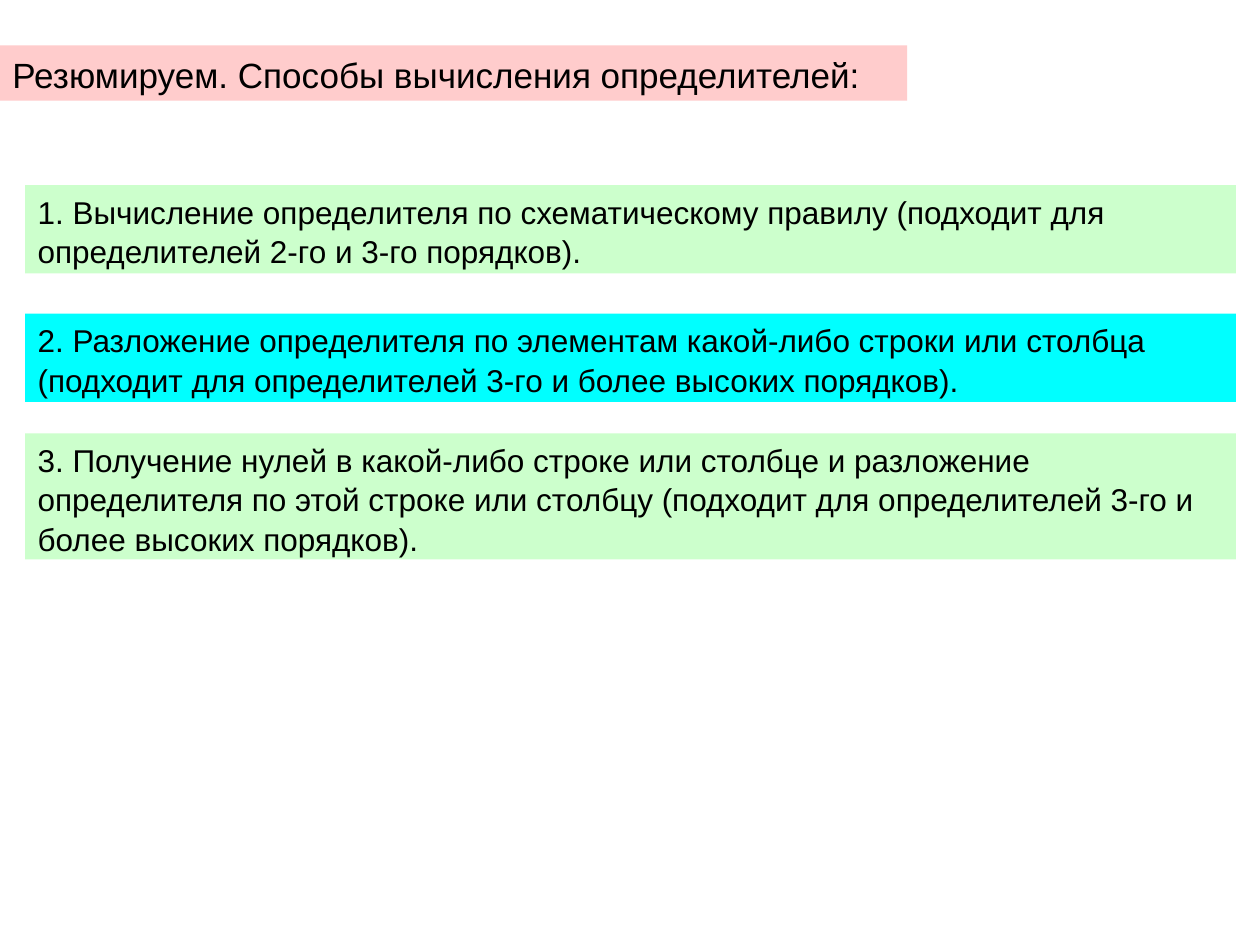
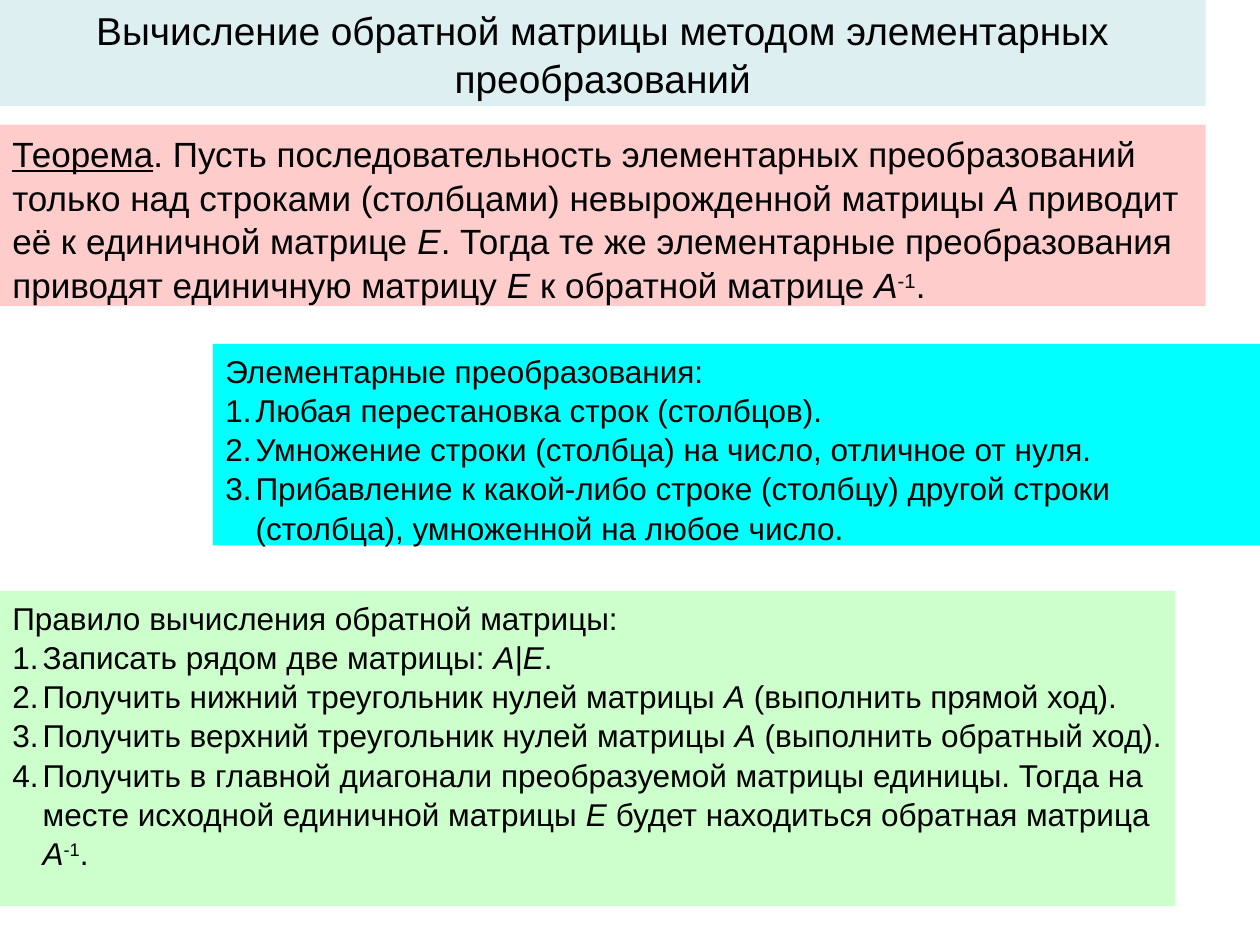
from lxml import etree
from pptx import Presentation
from pptx.dml.color import RGBColor
from pptx.enum.shapes import MSO_SHAPE
from pptx.enum.text import MSO_ANCHOR, PP_ALIGN
from pptx.oxml.ns import qn
from pptx.util import Inches, Pt

RECTANGLE = MSO_SHAPE.RECTANGLE
TOP, MIDDLE = MSO_ANCHOR.TOP, MSO_ANCHOR.MIDDLE
LEFT, CENTER = PP_ALIGN.LEFT, PP_ALIGN.CENTER

# Shared look
FONT = "Arial"
BLACK, PINK, GREEN, CYAN, PALE_BLUE = "000000", "FFCCCC", "CCFFCC", "00FFFF", "BBE0E3"
TITLE_SIZE, LEAD_SIZE, BODY_SIZE = 22.2, 20, 18
LINE_SPACING = 1.04
NUMBER_INDENT = 0.24

# Run formats
ITALIC = {"italic": True}
UNDERLINE = {"underline": True}
SUPERSCRIPT = {"baseline": "30000"}

# Slide 1: text, top, height, fill
SUMMARY_TITLE = "Резюмируем. Способы вычисления определителей:"
METHODS = [
    ("1. Вычисление определителя по схематическому правилу (подходит для "
     "определителей 2-го и 3-го порядков).", 1.47, 0.7, GREEN),
    ("2. Разложение определителя по элементам какой-либо строки или столбца "
     "(подходит для определителей 3-го и более высоких порядков).", 2.49, 0.7, CYAN),
    ("3. Получение нулей в какой-либо строке или столбце и разложение определителя "
     "по этой строке или столбцу (подходит для определителей 3-го и более высоких "
     "порядков).", 3.44, 1.0, GREEN),
]

# Slide 2: a paragraph is a string or a list of strings and (text, format) pairs
INVERSE_TITLE = "Вычисление обратной матрицы методом элементарных преобразований"
THEOREM = [
    ("Теорема", UNDERLINE),
    ". Пусть последовательность элементарных преобразований только над строками "
    "(столбцами) невырожденной матрицы ",
    ("A ", ITALIC), "приводит её к единичной матрице ", ("E", ITALIC),
    ". Тогда те же элементарные преобразования приводят единичную матрицу ",
    ("E", ITALIC), " к обратной матрице ", ("A", ITALIC), ("-1", SUPERSCRIPT), ".",
]
RULE_HEADING = "Правило вычисления обратной матрицы:"
RULE_STEPS = [
    ["Записать рядом две матрицы: ", ("A", ITALIC), "|", ("E", ITALIC), "."],
    ["Получить нижний треугольник нулей матрицы ", ("А", ITALIC),
     " (выполнить прямой ход)."],
    ["Получить верхний треугольник нулей матрицы ", ("А", ITALIC),
     " (выполнить обратный ход)."],
    ["Получить в главной диагонали преобразуемой матрицы единицы. Тогда на месте "
     "исходной единичной матрицы ", ("Е", ITALIC),
     " будет находиться обратная матрица ", ("А", ITALIC), ("-1", SUPERSCRIPT), "."],
]
TRANSFORMS_HEADING = "Элементарные преобразования:"
TRANSFORMS = [
    "Любая перестановка строк (столбцов).",
    "Умножение строки (столбца) на число, отличное от нуля.",
    "Прибавление к какой-либо строке (столбцу) другой строки (столбца), "
    "умноженной на любое число.",
]


def color(hex_value):
    return RGBColor.from_string(hex_value)


def number_paragraph(paragraph):
    """Give the paragraph an automatic number and a hanging indent."""
    properties = paragraph._p.get_or_add_pPr()
    indent = Inches(NUMBER_INDENT)
    properties.set("marL", str(indent))
    properties.set("indent", str(-indent))
    bullet_color = etree.SubElement(properties, qn("a:buClr"))
    etree.SubElement(bullet_color, qn("a:srgbClr"), val=BLACK)
    etree.SubElement(properties, qn("a:buAutoNum"), type="arabicPeriod")


def write_paragraph(paragraph, content, size, align):
    paragraph.alignment = align
    paragraph.line_spacing = LINE_SPACING
    for piece in [content] if isinstance(content, str) else content:
        text, style = (piece, {}) if isinstance(piece, str) else piece
        run = paragraph.add_run()
        run.text = text
        run.font.color.rgb = color(BLACK)
        for name, value in {"name": FONT, "size": Pt(size), **style}.items():
            if name == "baseline":
                run._r.get_or_add_rPr().set(name, value)
            else:
                setattr(run.font, name, value)


def add_band(slide, box, fill, content, steps=(), size=BODY_SIZE,
             align=LEFT, anchor=TOP, opacity=None):
    """Draw a filled band with a lead paragraph and optional numbered steps."""
    band = slide.shapes.add_shape(RECTANGLE, *map(Inches, box))
    band.shadow.inherit = False
    band.fill.solid()
    band.fill.fore_color.rgb = color(fill)
    band.line.fill.background()
    if opacity is not None:
        fill_color = band._element.spPr.find(".//" + qn("a:srgbClr"))
        etree.SubElement(fill_color, qn("a:alpha"), val=str(opacity * 1000))
    frame = band.text_frame
    frame.word_wrap = True
    frame.vertical_anchor = anchor
    write_paragraph(frame.paragraphs[0], content, size, align)
    for step in steps:
        paragraph = frame.add_paragraph()
        write_paragraph(paragraph, step, size, align)
        number_paragraph(paragraph)


def build_summary(slide):
    add_band(slide, (0, 0.36, 7.2, 0.44), PINK, SUMMARY_TITLE, size=LEAD_SIZE)
    for text, top, height, fill in METHODS:
        add_band(slide, (0.2, top, 9.61, height), fill, text)


def build_inverse_matrix(slide):
    add_band(slide, (0, 0, 9.57, 0.84), PALE_BLUE, INVERSE_TITLE, size=TITLE_SIZE,
             align=CENTER, anchor=MIDDLE, opacity=49)
    add_band(slide, (0, 0.99, 9.57, 1.44), PINK, THEOREM, size=LEAD_SIZE)
    add_band(slide, (0, 4.69, 9.33, 2.5), GREEN, RULE_HEADING, RULE_STEPS)
    add_band(slide, (1.69, 2.73, 8.31, 1.6), CYAN, TRANSFORMS_HEADING, TRANSFORMS)


def main():
    deck = Presentation()
    deck.slide_width, deck.slide_height = Inches(10), Inches(7.5)
    blank = deck.slide_layouts[6]
    for build in (build_summary, build_inverse_matrix):
        build(deck.slides.add_slide(blank))
    deck.save("out.pptx")


if __name__ == "__main__":
    main()
